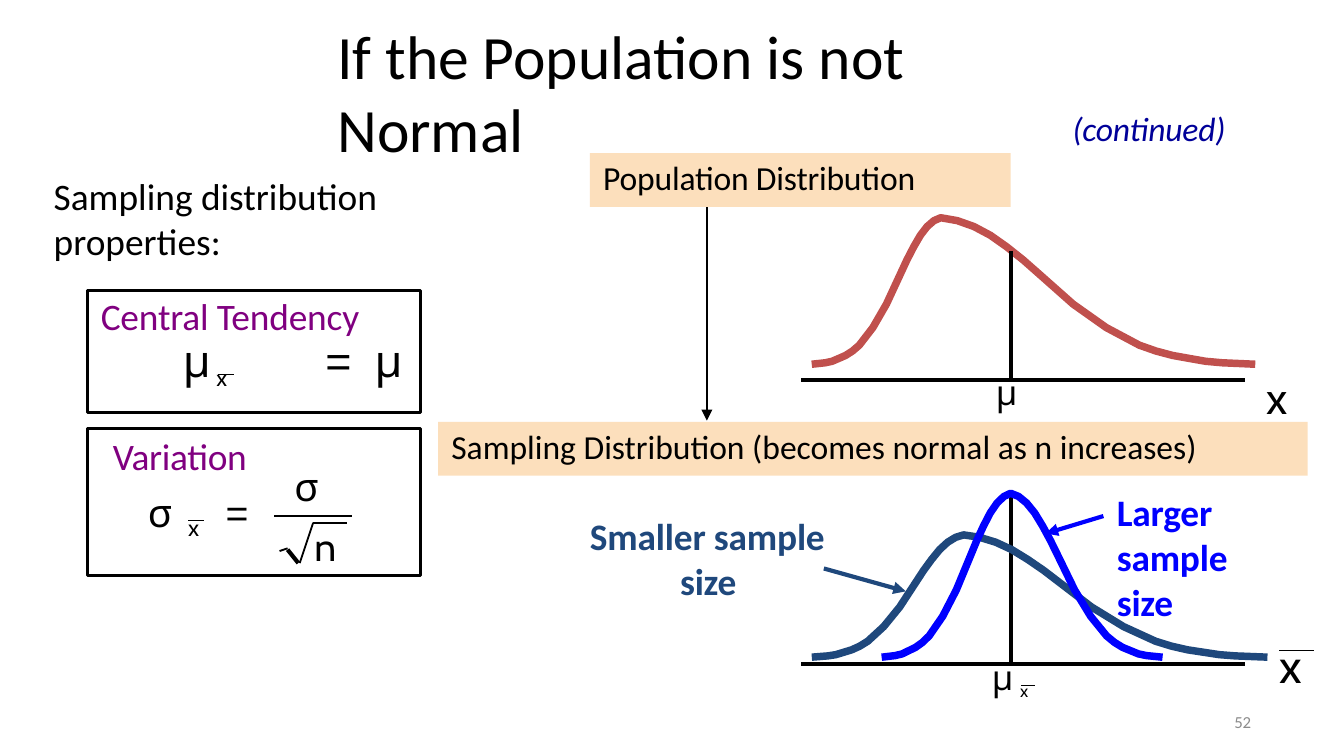
from lxml import etree
from pptx import Presentation
from pptx.dml.color import RGBColor
from pptx.enum.shapes import MSO_CONNECTOR, MSO_SHAPE
from pptx.enum.text import MSO_ANCHOR, MSO_AUTO_SIZE, PP_ALIGN
from pptx.oxml.ns import qn
from pptx.util import Emu, Inches, Pt

PX = 9144  # 100 px to the inch
TOP, MIDDLE = MSO_ANCHOR.TOP, MSO_ANCHOR.MIDDLE
LEFT, RIGHT = PP_ALIGN.LEFT, PP_ALIGN.RIGHT
RECTANGLE, STRAIGHT = MSO_SHAPE.RECTANGLE, MSO_CONNECTOR.STRAIGHT
TITLE_ONLY = 5
COLORS = {
    "black": "000000", "gray": "8C8C8C", "navy": "000099", "purple": "800080",
    "band": "FCDFBC", "population": "C0504D", "smaller": "1F487C", "larger": "0000FF",
}

# ---- Content: text ----
TITLE = "If the Population is not Normal"
# text, box, insets (left, top), size, color, options
LABELS = [
    ("52", (706, 522, 225, 30), (0, 0), 9, "gray",
     {"align": RIGHT, "anchor": MIDDLE}),
    ("(continued)", (797, 79, 118, 33), (1, 1), 18, "navy", {"italic": True}),
    ("Variation", (84, 321, 103, 36), (0, 1), 20, "purple", {"spacing": -0.2}),
    ("Larger sample size", (830, 363, 86, 103), (1, 1), 20, "larger", {"bold": True}),
    ("Smaller sample size", (438, 381, 179, 70), (0, 1), 20, "smaller",
     {"bold": True, "indent": (68, -67)}),
    ("Sampling distribution properties:", (39, 128, 244, 70), (1, 1), 20, "black",
     {"spacing": 0}),
]
# text, box, letter spacing
BANDS = [
    ("Population Distribution", (439, 114, 313, 40), -0.1),
    ("Sampling Distribution (becomes normal as n increases)", (326, 314, 647, 40), 0),
]
TENDENCY_BOX = (65, 216, 248, 91)
VARIATION_BOX = (65, 319, 248, 109)

# Symbols: box, insets, tab stop, runs of (text, size, font, spacing, baseline)
SYMBOLS = [
    ((941, 273, 29, 43), (1, 2), None, [("x", 24, "Cabin", 6.5, 0)]),
    ((951, 472, 30, 45), (1, 1), None, [("x", 25.5, "Cabin", 6.2, 0)]),
    ((140, 381, 14, 24), (0, 1), None, [("x", 12.5, "Cabin", 2.2, 0)]),
    ((110, 361, 83, 38), (0, 2), 58,
     [("σ\t", 21, "Cabin", 6.2, 0), ("=", 21, "Arial", 4.8, 0)]),
    ((734, 487, 41, 34), (4, 1), None,
     [("μ", 18.5, "Cabin", 3.6, 0), ("x", 15.8, "Cabin", 5.4, -24)]),
    ((740, 275, 23, 34), (1, 1), None, [("μ", 18.5, "Cabin", 3.9, 0)]),
]
MEAN_RUNS = [("μ", 24, "Cabin", 3, 0), ("x\t", 21, "Cabin", 4.5, -24),
             ("= ", 24, "Arial", 2.9, 0), ("μ", 24, "Cabin", 2.8, 0)]

# ---- Content: drawing ----
# Bell outline shared by all curves: step out of 19 and share of the height
BELL_STEPS = [0, 2, 3, 4, 5, 6, 7, 9, 11, 13, 14, 15, 16, 17, 18, 19]
BELL_HEIGHTS = [0, .01, .02, .04, .06, .09, .13, .25, .41, .61, .71, .8, .88, .94, .98, 1]
# left, peak, right, base, top, color
CURVES = [
    (604, 700, 934, 271, 162, "population"),
    (604, 717, 943, 489, 398, "smaller"),
    (656, 752, 865, 489, 367, "larger"),
]
# start, end, width
AXES = [
    ((596, 283), (926, 283), 2.25), ((596, 494), (926, 494), 2.25),
    ((752, 494), (752, 367), 2.25),
]
POPULATION_MEAN = ((752, 283), (752, 187), 2.25)
FORMULA_LINES = [
    ((952, 484), (978, 484), 1), ((162, 279), (174, 279), 0.5),
    ((140, 387), (152, 387), 0.5), ((760, 510), (770, 510), 0.5),
    ((208, 410), (214, 408), 1), ((214, 409), (222, 419), 2.25),
    ((223, 419), (233, 389), 1), ((233, 389), (258, 389), 1),
    ((204, 384), (262, 384), 1),
]
# start, end, width, color
ARROWS = [
    ((526, 154), (526, 313), 1.5, "black"),
    ((821, 384), (778, 397), 2.25, "larger"),
    ((613, 423), (674, 440), 2.25, "smaller"),
]


def px(value):
    return Emu(round(value * PX))


def rgb(name):
    return RGBColor.from_string(COLORS[name])


def prepare_frame(shape, insets=(0, 0), anchor=TOP):
    frame = shape.text_frame
    frame.word_wrap = True
    frame.auto_size = MSO_AUTO_SIZE.NONE
    frame.vertical_anchor = anchor
    frame.margin_left, frame.margin_top = px(insets[0]), px(insets[1])
    frame.margin_right = frame.margin_bottom = 0
    return frame


def set_indent(paragraph, left=0, first=0, tab=None):
    # An explicit zero first-line indent would reset the tab stops
    properties = paragraph._p.get_or_add_pPr()
    for name, value in (("marL", left), ("indent", first)):
        if value:
            properties.set(name, str(px(value)))
    if tab:
        tabs = etree.SubElement(properties, qn("a:tabLst"))
        etree.SubElement(tabs, qn("a:tab"), pos=str(px(tab)), algn="l")


def add_run(paragraph, text, size, font="Calibri", spacing=-0.1, baseline=0,
            color="black", bold=False, italic=False):
    run = paragraph.add_run()
    run.text = text
    run.font.name, run.font.size = font, Pt(size)
    run.font.bold, run.font.italic = bold, italic
    run.font.color.rgb = rgb(color)
    properties = run._r.get_or_add_rPr()
    properties.set("spc", str(round(spacing * 100)))
    if baseline:
        properties.set("baseline", str(baseline * 1000))


def add_box(box, fill=None, line=None):
    shape = shapes.add_shape(RECTANGLE, *map(px, box))
    shape.shadow.inherit = False
    for part, color in ((shape.fill, fill), (shape.line.fill, line)):
        if color:
            part.solid()
            part.fore_color.rgb = rgb(color)
        else:
            part.background()
    if line:
        shape.line.width = Pt(1.5)
    return shape


def add_line(start, end, width, color="black", arrow=False):
    line = shapes.add_connector(STRAIGHT, *map(px, start + end))
    line.line.width = Pt(width)
    line.line.color.rgb = rgb(color)
    if arrow:
        etree.SubElement(line.line._get_or_add_ln(), qn("a:tailEnd"), type="triangle")
    etree.SubElement(line._element.spPr, qn("a:effectLst"))


def add_curve(left, peak, right, base, top, color):
    def half(edge):
        return [(px(edge + (peak - edge) * step / 19), px(base - (base - top) * height))
                for step, height in zip(BELL_STEPS, BELL_HEIGHTS)]

    points = half(left) + half(right)[-2::-1]
    builder = shapes.build_freeform(*points[0])
    builder.add_line_segments(points[1:], close=False)
    curve = builder.convert_to_shape()
    curve.shadow.inherit = False
    curve.fill.background()
    curve.line.color.rgb = rgb(color)
    curve.line.width = Pt(4)


presentation = Presentation()
presentation.slide_width = Inches(10)
presentation.slide_height = presentation.slide_width * 9 // 16
slide = presentation.slides.add_slide(presentation.slide_layouts[TITLE_ONLY])
shapes = slide.shapes

# Title
title = shapes.title
title.left, title.top, title.width, title.height = map(px, (250, 43, 500, 49))
paragraph = prepare_frame(title, (1, 1), MIDDLE).paragraphs[0]
paragraph.alignment = LEFT
add_run(paragraph, TITLE, 33, spacing=0)

# Axes, curves and pointers
for axis in AXES:
    add_line(*axis)
for curve in CURVES:
    add_curve(*curve)
add_line(*POPULATION_MEAN)
for arrow in ARROWS:
    add_line(*arrow, arrow=True)

# Heading bands
for text, box, spacing in BANDS:
    paragraph = prepare_frame(add_box(box, fill="band"), (10, 3)).paragraphs[0]
    paragraph.alignment = LEFT
    add_run(paragraph, text, 18, spacing=spacing)

# Property boxes
add_box(VARIATION_BOX, line="black")
frame = prepare_frame(add_box(TENDENCY_BOX, line="black"), (0, 3))
heading, formula = frame.paragraphs[0], frame.add_paragraph()
set_indent(heading, 10)
set_indent(formula, 71, tab=124)
heading.line_spacing, formula.line_spacing = Pt(23.6), Pt(28.4)
heading.alignment = formula.alignment = LEFT
add_run(heading, "Central Tendency", 20, color="purple")
for run in MEAN_RUNS:
    add_run(formula, *run)

# Labels
for text, box, insets, size, color, options in LABELS:
    label = shapes.add_textbox(*map(px, box))
    paragraph = prepare_frame(label, insets, options.get("anchor", TOP)).paragraphs[0]
    set_indent(paragraph, *options.get("indent", (0, 0)))
    paragraph.alignment = options.get("align", LEFT)
    add_run(paragraph, text, size, color=color, spacing=options.get("spacing", -0.1),
            bold=options.get("bold", False), italic=options.get("italic", False))

# Formula symbols
for box, insets, tab, runs in SYMBOLS:
    paragraph = prepare_frame(shapes.add_textbox(*map(px, box)), insets).paragraphs[0]
    set_indent(paragraph, tab=tab)
    for run in runs:
        add_run(paragraph, *run)

# Fraction: sigma over root n
frame = prepare_frame(shapes.add_textbox(*map(px, (219, 333, 40, 92))), (0, 11))
add_run(frame.paragraphs[0], "σ", 21, "Cabin", 6.2)
denominator = frame.add_paragraph()
set_indent(denominator, 15)
denominator.space_before = Pt(6.8)
add_run(denominator, "n", 21, "Cabin", 5)
for line in FORMULA_LINES:
    add_line(*line)

presentation.save("out.pptx")
